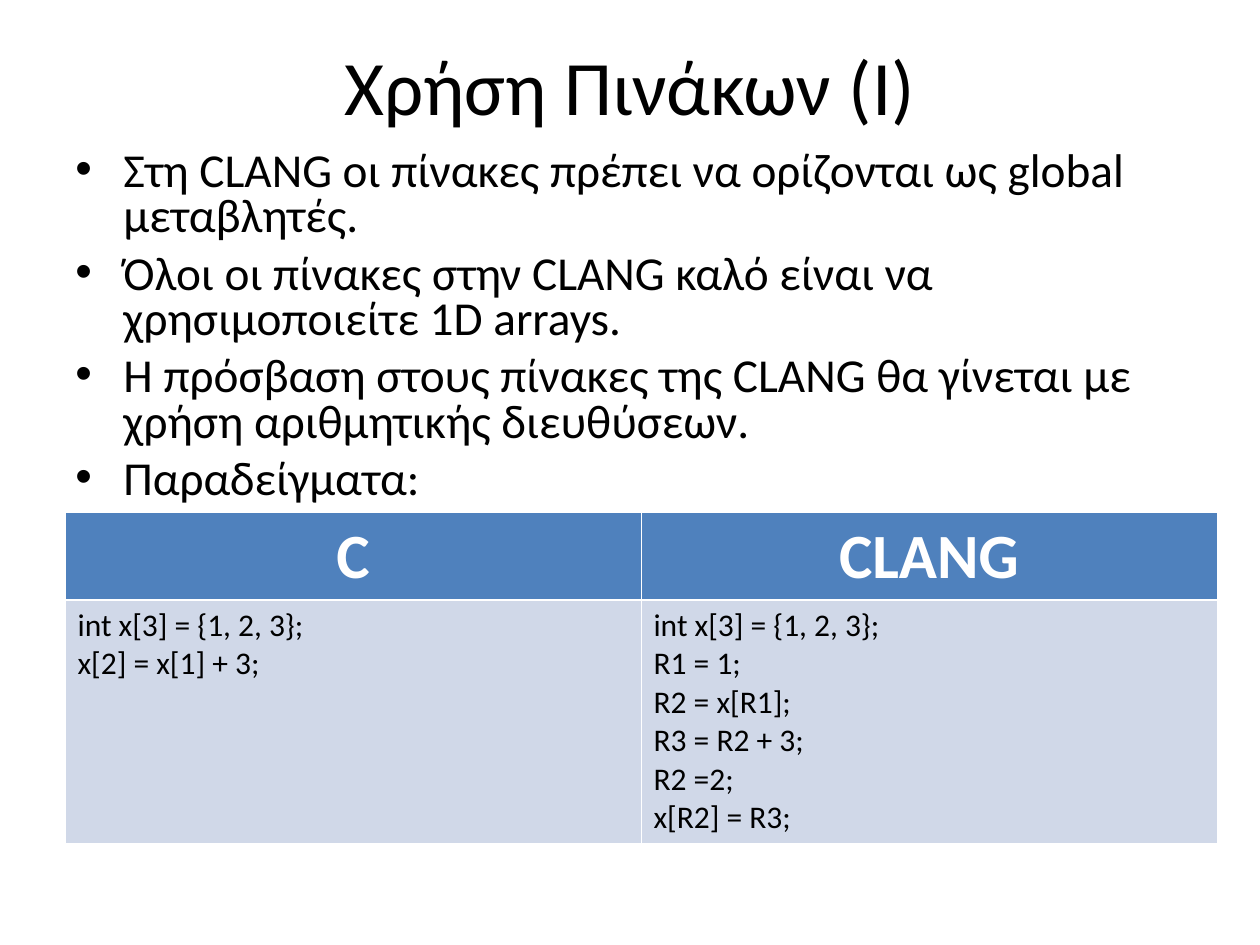
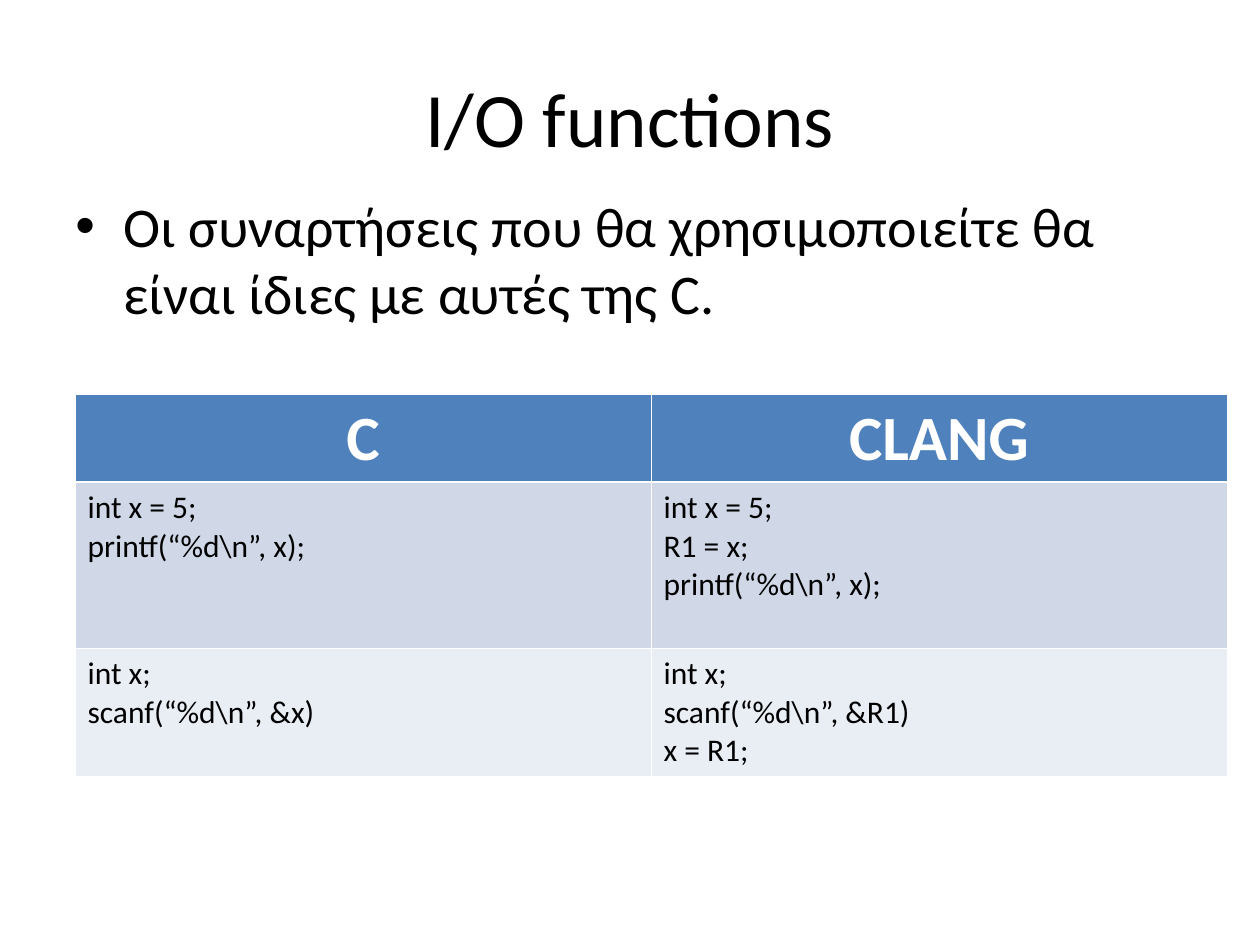
from lxml import etree
from pptx import Presentation
from pptx.dml.color import RGBColor
from pptx.enum.text import MSO_ANCHOR, PP_ALIGN
from pptx.oxml.ns import qn
from pptx.util import Pt

PX = 914400 / 126
CENTER, LEFT = PP_ALIGN.CENTER, PP_ALIGN.LEFT
MIDDLE, TOP = MSO_ANCHOR.MIDDLE, MSO_ANCHOR.TOP
FONT = "Calibri"
COLORS = {"text": "000000", "white": "FFFFFF", "header": "4F81BD",
          "odd": "D0D8E8", "even": "E9EDF4"}
THIN, THICK = 0.45, 1.47
INDENT = 48
HEADER_HEIGHT = 88
HEADINGS = ["C", "CLANG"]

TITLE = {"size": Pt(44), "bold": False}
HEADING = {"size": Pt(36), "bold": True}
CODE = {"size": Pt(18), "bold": False}


def px(n):
    return round(n * PX)


def write(tf, lines, font, color="text", **layout):
    for i, line in enumerate(lines):
        p = tf.paragraphs[0] if i == 0 else tf.add_paragraph()
        for name, value in layout.items():
            setattr(p, name, value)
        r = p.add_run()
        r.text = line
        r.font.name = FONT
        r.font.color.rgb = RGBColor.from_string(COLORS[color])
        for name, value in font.items():
            setattr(r.font, name, value)


def add_box(slide, box, anchor):
    tf = slide.shapes.add_textbox(*map(px, box)).text_frame
    tf.word_wrap = True
    tf.vertical_anchor = anchor
    return tf


def add_title(slide, box, text):
    write(add_box(slide, box, MIDDLE), [text], TITLE, alignment=CENTER)


def add_bullets(slide, box, lines, size, before, spacing):
    tf = add_box(slide, box, TOP)
    write(tf, lines, {"size": Pt(size)}, alignment=LEFT,
          space_before=Pt(before), line_spacing=spacing)
    for p in tf.paragraphs:
        pPr = p._p.get_or_add_pPr()
        pPr.set("marL", str(px(INDENT)))
        pPr.set("indent", str(-px(INDENT)))
        etree.SubElement(pPr, qn("a:buFont"), typeface="Arial")
        etree.SubElement(pPr, qn("a:buChar"), char="•")


def add_borders(cell, top, bottom):
    tcPr = cell._tc.get_or_add_tcPr()
    sides = {"L": THIN, "R": THIN, "T": top, "B": bottom}
    for i, (side, width) in enumerate(sides.items()):
        ln = etree.Element(qn(f"a:ln{side}"), w=str(Pt(width)))
        fill = etree.SubElement(ln, qn("a:solidFill"))
        etree.SubElement(fill, qn("a:srgbClr"), val=COLORS["white"])
        tcPr.insert(i, ln)


def add_code_table(slide, box, examples, heights):
    rows = [[[heading] for heading in HEADINGS]] + examples
    table = slide.shapes.add_table(len(rows), len(HEADINGS), *map(px, box)).table
    for row, height in zip(table.rows, [HEADER_HEIGHT] + heights):
        row.height = px(height)
    for i, row in enumerate(rows):
        fill = "header" if i == 0 else "odd" if i % 2 else "even"
        for j, lines in enumerate(row):
            cell = table.cell(i, j)
            cell.fill.solid()
            cell.fill.fore_color.rgb = RGBColor.from_string(COLORS[fill])
            if i == 0:
                write(cell.text_frame, lines, HEADING, "white", alignment=CENTER)
            else:
                write(cell.text_frame, lines, CODE, alignment=LEFT)
            add_borders(cell, THICK if i == 1 else THIN, THICK if i == 0 else THIN)


def arrays_slide(slide):
    add_title(slide, (63, 6, 1134, 158), "Χρήση Πινάκων (Ι)")
    add_bullets(slide, (63, 145, 1134, 367), [
        "Στη CLANG οι πίνακες πρέπει να ορίζονται ως global μεταβλητές.",
        "Όλοι οι πίνακες στην CLANG καλό είναι να χρησιμοποιείτε 1D arrays.",
        "Η πρόσβαση στους πίνακες της CLANG θα γίνεται με χρήση αριθμητικής διευθύσεων.",
        "Παραδείγματα:",
    ], 27, 6.8, 0.8)
    add_code_table(slide, (65, 512, 1152, 331), [
        [["int x[3] = {1, 2, 3};", "x[2] = x[1] + 3;"],
         ["int x[3] = {1, 2, 3};", "R1 = 1;", "R2 = x[R1];",
          "R3 = R2 + 3;", "R2 =2;", "x[R2] = R3;"]],
    ], [243])


def io_slide(slide):
    add_title(slide, (63, 38, 1134, 158), "I/O functions")
    add_bullets(slide, (63, 185, 1134, 198), [
        "Οι συναρτήσεις που θα χρησιμοποιείτε θα είναι ίδιες με αυτές της C.",
    ], 32, 8, 1.0)
    add_code_table(slide, (75, 394, 1152, 382), [
        [["int x = 5;", r"printf(“%d\n”, x);"],
         ["int x = 5;", "R1 = x;", r"printf(“%d\n”, x);"]],
        [["int x;", r"scanf(“%d\n”, &x)"],
         ["int x;", r"scanf(“%d\n”, &R1)", "x = R1;"]],
    ], [166, 128])


def main():
    prs = Presentation()
    prs.slide_width, prs.slide_height = px(1260), px(945)
    for build in (arrays_slide, io_slide):
        build(prs.slides.add_slide(prs.slide_layouts[6]))
    prs.save("out.pptx")


if __name__ == "__main__":
    main()
